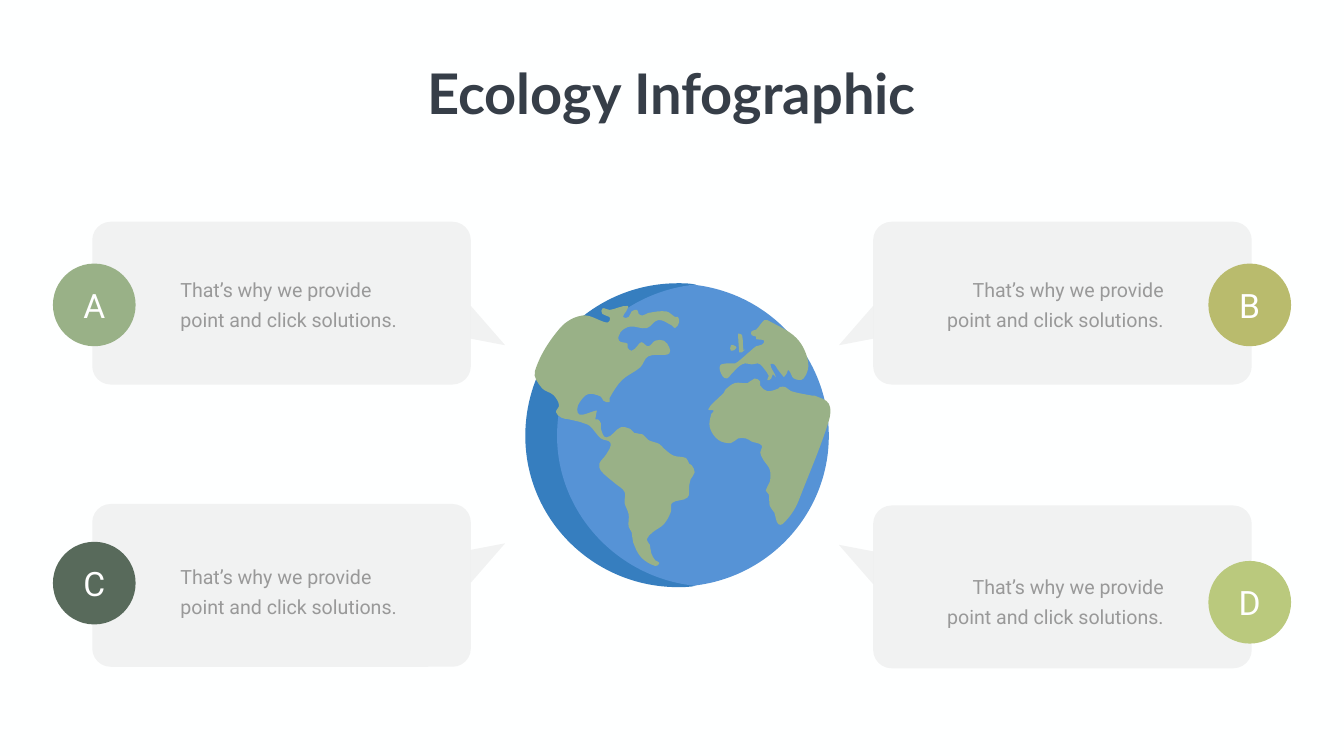
"""Build the Ecology Infographic slide: a globe with four lettered callouts."""
from dataclasses import dataclass
from math import hypot

from lxml import etree
from pptx import Presentation
from pptx.dml.color import RGBColor
from pptx.enum.shapes import MSO_SHAPE
from pptx.enum.text import MSO_ANCHOR, PP_ALIGN
from pptx.oxml.ns import qn
from pptx.util import Inches, Pt

Point = tuple[float, float]
Segment = tuple[Point, Point, Point]


@dataclass(frozen=True)
class Theme:
    background: str = "FEFFFF"
    title: str = "363E48"
    body: str = "999999"
    letter: str = "FFFFFF"
    card: str = "808080"
    card_opacity: int = 10
    sea: str = "5693D6"
    shade: str = "367EBF"
    land: str = "99B187"
    title_font: str = "Lato"
    body_font: str = "Roboto"
    title_size: int = 80
    letter_size: int = 48
    body_size: int = 28
    body_spacing: int = 43


@dataclass(frozen=True)
class Callout:
    letter: str
    color: str
    card_top: float
    badge_top: float
    body_top: float
    on_right: bool
    tail_up: bool


THEME = Theme()
SLIDE_W, SLIDE_H = 26.66, 15
CARD_X, CARD_W, CARD_H = 1.83, 7.51, 3.23
BADGE_X, BADGE_SIZE = 1.05, 1.64
BODY_X, BODY_W, BODY_H = 3.48, 4.92, 1.25
TAIL = ((0, 1.67), (0.68, 2.45), (0, 2.32))
BODY = "That’s why we provide point and click solutions."

CALLOUTS = (
    Callout("A", "99B187", 4.4, 5.23, 5.34, False, False),
    Callout("D", "BAC97D", 10.03, 11.13, 11.22, True, True),
    Callout("C", "586A5B", 10, 10.75, 11.02, False, True),
    Callout("B", "B9BB6D", 4.4, 5.23, 5.34, True, False),
)

SHADE_ARCS: list[Segment] = [
    ((11.14, 7.1), (12.31, 5.82), (13.81, 5.65)),
    ((13.69, 5.62), (13.56, 5.62), (13.45, 5.62)),
    ((11.78, 5.62), (10.42, 6.96), (10.42, 8.65)),
    ((10.42, 10.31), (11.78, 11.65), (13.45, 11.65)),
    ((13.56, 11.65), (13.69, 11.65), (13.81, 11.62)),
    ((12.31, 11.45), (11.14, 10.18), (11.14, 8.65)),
]
SEA_ARCS: list[Segment] = [
    ((16.44, 7.09), (15.28, 5.82), (13.76, 5.65)),
    ((12.24, 5.82), (11.05, 7.09), (11.05, 8.65)),
    ((11.05, 10.17), (12.24, 11.45), (13.76, 11.62)),
    ((15.28, 11.45), (16.44, 10.17), (16.44, 8.65)),
]

WEST_COAST = """1272,1106 1256,1076 1253,1056 1247,1045 1247,1020 1239,998 1239,976
1220,959 1192,934 1189,920 1203,901 1211,879 1192,870 1170,845 1159,840 1150,837
1128,832 1114,829 1103,818 1109,804 1098,784 1075,770 1061,737 1111,651 1156,626"""
NORTH_COAST = """1203,640 1209,637 1209,629 1195,623 1195,612 1209,615 1245,607 1242,618
1236,629 1247,629 1253,618 1264,615 1267,623 1275,626 1286,621 1322,618 1339,629 1345,629
1347,640 1339,651 1333,646 1306,635 1283,651 1250,648 1231,659 1228,676 1245,682
1245,690 1253,696 1264,687 1272,679 1286,687 1300,676 1317,676 1328,690 1328,701"""
EAST_COAST = """1320,704 1286,707 1270,729 1234,754 1209,790 1209,798 1197,795 1192,787
1167,782 1150,798 1145,812 1150,823 1181,815 1184,815 1181,832 1186,832 1192,840 1192,851
1203,868 1231,848 1250,851 1258,859 1275,862 1286,873 1308,881 1317,890 1336,904
1361,909 1367,920 1372,923 1378,937 1370,951 1367,965 1364,987 1333,998 1331,1015
1317,1040 1295,1056 1283,1070 1289,1081 1292,1098 1300,1112 1308,1117 1300,1123"""
AMERICAS = " ".join((WEST_COAST, NORTH_COAST, EAST_COAST))
EUROPE = """1516,635 1522,635 1580,671 1603,718 1594,751 1575,751 1564,734 1561,740
1555,748 1553,746 1542,732 1536,723 1528,723 1539,748 1533,743 1530,751 1522,754
1525,746 1516,732 1508,723 1503,721 1491,723 1478,721 1467,726 1450,743 1442,751
1433,746 1428,726 1442,721 1458,721 1467,715 1489,696 1500,687 1511,684 1516,676
1500,673 1500,668 1491,665 1491,657 1500,654"""
AFRICA = """1644,835 1589,981 1575,1012 1552,1040 1544,1040 1539,1029 1536,1017
1527,1004 1525,981 1519,973 1527,956 1527,932 1514,912 1508,898 1511,884 1491,876
1480,870 1464,870 1450,879 1425,873 1408,848 1411,821 1416,815 1405,812 1430,785
1436,779 1439,773 1458,760 1483,760 1497,751 1508,757 1508,765 1522,776 1544,771
1547,768 1558,768 1569,776 1611,785 1616,785 1644,801"""
BRITAIN = "1478,693 1472,699 1466,699 1466,696 1464,665 1464,662 1466,662 1472,665 1475,696"
IRELAND = "1455,685 1461,690 1450,696 1450,685"


def smooth(outline: str) -> list[Segment]:
    """Turn anchors in hundredths of an inch into a closed smooth curve."""
    anchors: list[Point] = [
        (int(x) / 100, int(y) / 100)
        for x, y in (pair.split(",") for pair in outline.split())
    ]
    count = len(anchors)
    tangents: list[Point] = []
    for i in range(count):
        (x0, y0), (x1, y1) = anchors[i - 1], anchors[(i + 1) % count]
        length = hypot(x1 - x0, y1 - y0) or 1
        tangents.append(((x1 - x0) / length, (y1 - y0) / length))
    segments: list[Segment] = []
    for i in range(count):
        j = (i + 1) % count
        (x0, y0), (x1, y1) = anchors[i], anchors[j]
        (u0, v0), (u1, v1) = tangents[i], tangents[j]
        reach = hypot(x1 - x0, y1 - y0) / 3
        segments.append((
            (x0 + u0 * reach, y0 + v0 * reach), (x1 - u1 * reach, y1 - v1 * reach), (x1, y1),
        ))
    return segments


def paint(shape, color: str, opacity: int = 100) -> None:
    """Give a shape a plain fill without line or shadow."""
    shape.shadow.inherit = False
    shape.fill.solid()
    shape.fill.fore_color.rgb = RGBColor.from_string(color)
    shape.line.fill.background()
    if opacity < 100:
        rgb = shape._element.spPr.find(f"{qn('a:solidFill')}/{qn('a:srgbClr')}")
        etree.SubElement(rgb, qn("a:alpha"), val=str(opacity * 1000))


def add_polygon(shapes, points: list[Point]):
    """Draw a closed outline through points; the last one is the start."""
    corners = [(Inches(x), Inches(y)) for x, y in points]
    builder = shapes.build_freeform(*corners[-1], scale=1.0)
    builder.add_line_segments(corners, close=True)
    return builder.convert_to_shape()


def add_curve(shapes, segments: list[Segment], color: str) -> None:
    """Draw a closed outline of cubic curves."""
    shape = add_polygon(shapes, [end for _, _, end in segments])
    lines = list(shape._element.iter(qn("a:lnTo")))
    for line, (first, second, _) in zip(lines, segments):
        line.tag = qn("a:cubicBezTo")
        for index, (x, y) in enumerate((first, second)):
            handle = etree.Element(
                qn("a:pt"), x=str(Inches(x) - shape.left), y=str(Inches(y) - shape.top)
            )
            line.insert(index, handle)
    paint(shape, color)


def write(frame, text: str, font: str, size: int, color: str, align: PP_ALIGN):
    """Fill a text frame with one formatted paragraph and return it."""
    paragraph = frame.paragraphs[0]
    paragraph.alignment = align
    run = paragraph.add_run()
    run.text = text
    run.font.name = font
    run.font.size = Pt(size)
    run.font.color.rgb = RGBColor.from_string(color)
    return paragraph


def add_callout(shapes, item: Callout) -> None:
    """Draw a card with its tail, badge and body text."""
    def place(x: float, width: float) -> float:
        return SLIDE_W - x - width if item.on_right else x

    card = shapes.add_group_shape().shapes
    panel = card.add_shape(
        MSO_SHAPE.ROUNDED_RECTANGLE, Inches(place(CARD_X, CARD_W)),
        Inches(item.card_top), Inches(CARD_W), Inches(CARD_H),
    )
    panel.adjustments[0] = 0.113
    paint(panel, THEME.card, THEME.card_opacity)
    tail = add_polygon(card, [
        (place(CARD_X + CARD_W + x, 0), item.card_top + (CARD_H - y if item.tail_up else y))
        for x, y in TAIL
    ])
    paint(tail, THEME.card, THEME.card_opacity)

    badge = shapes.add_shape(
        MSO_SHAPE.OVAL, Inches(place(BADGE_X, BADGE_SIZE)),
        Inches(item.badge_top), Inches(BADGE_SIZE), Inches(BADGE_SIZE),
    )
    paint(badge, item.color)
    badge.text_frame.vertical_anchor = MSO_ANCHOR.MIDDLE
    write(badge.text_frame, item.letter, THEME.body_font, THEME.letter_size,
          THEME.letter, PP_ALIGN.CENTER)

    body = shapes.add_textbox(
        Inches(place(BODY_X, BODY_W)), Inches(item.body_top), Inches(BODY_W), Inches(BODY_H)
    ).text_frame
    body.word_wrap = True
    paragraph = write(body, BODY, THEME.body_font, THEME.body_size, THEME.body,
                      PP_ALIGN.RIGHT if item.on_right else PP_ALIGN.LEFT)
    paragraph.line_spacing = Pt(THEME.body_spacing)


def main() -> None:
    """Compose the slide and save it."""
    deck = Presentation()
    deck.slide_width, deck.slide_height = Inches(SLIDE_W), Inches(SLIDE_H)
    slide = deck.slides.add_slide(deck.slide_layouts[6])
    slide.background.fill.solid()
    slide.background.fill.fore_color.rgb = RGBColor.from_string(THEME.background)

    globe = slide.shapes.add_group_shape().shapes
    add_curve(globe, SHADE_ARCS, THEME.shade)
    add_curve(globe, SEA_ARCS, THEME.sea)
    for outline in (AMERICAS, EUROPE, AFRICA, BRITAIN, IRELAND):
        add_curve(globe, smooth(outline), THEME.land)
    for item in CALLOUTS:
        add_callout(slide.shapes, item)

    title = slide.shapes.add_textbox(Inches(8.27), Inches(1.12), Inches(10.11), Inches(1.45))
    title.text_frame.word_wrap = False
    heading = write(title.text_frame, "Ecology Infographic", THEME.title_font,
                    THEME.title_size, THEME.title, PP_ALIGN.CENTER)
    heading.runs[0].font.bold = True
    deck.save("out.pptx")


main()
